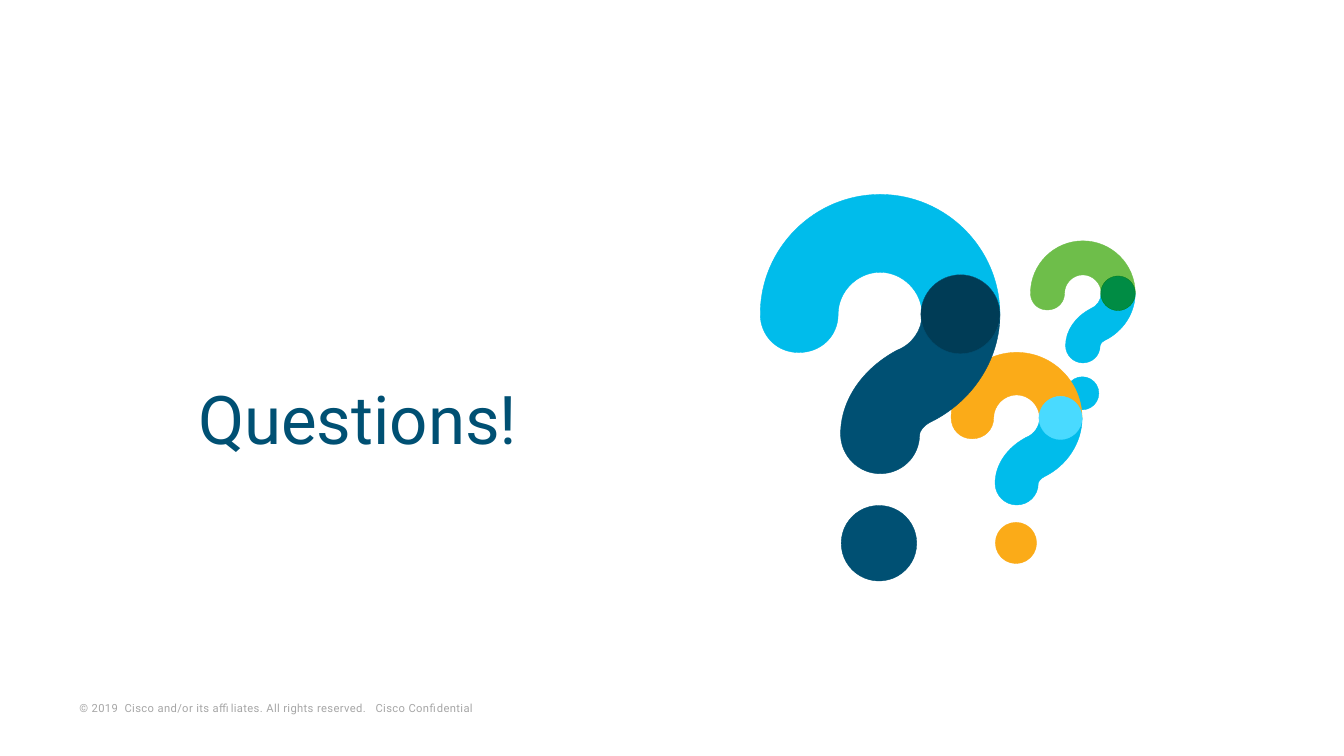
from pptx import Presentation
from pptx.dml.color import RGBColor
from pptx.enum.shapes import MSO_SHAPE
from pptx.enum.text import MSO_ANCHOR, MSO_AUTO_SIZE, PP_ALIGN
from pptx.oxml.ns import qn
from pptx.util import Cm, Pt
from lxml.etree import SubElement

FONT = "Roboto"
NAVY = RGBColor(0x00, 0x50, 0x73)
DARK_NAVY = RGBColor(0x00, 0x3C, 0x56)
CYAN = RGBColor(0x00, 0xBC, 0xEB)
PALE_CYAN = RGBColor(0x49, 0xDA, 0xFF)
ORANGE = RGBColor(0xFB, 0xAB, 0x18)
GREEN = RGBColor(0x6E, 0xBE, 0x4A)
DARK_GREEN = RGBColor(0x00, 0x8C, 0x44)
LINE_GREEN = RGBColor(0x01, 0x7E, 0x18)
GREY = RGBColor(0xA6, 0xA6, 0xA6)

# Outlines of a question mark whose arch has radius 1 around (0, 0):
# a start point, then three points (control, control, end) for each curve.
ARCH = [
    (0, -1),
    (-0.55, -1), (-1, -0.55), (-1, 0),
    (-1, 0.18), (-0.86, 0.32), (-0.68, 0.32),
    (-0.49, 0.32), (-0.35, 0.18), (-0.35, 0),
    (-0.35, -0.19), (-0.19, -0.35), (0, -0.35),
    (0.19, -0.35), (0.35, -0.19), (0.35, 0),
    (0.35, -0.18), (0.49, -0.33), (0.67, -0.33),
    (0.85, -0.33), (1, -0.18), (1, 0),
    (1, -0.55), (0.55, -1), (0, -1),
]
STEM = [
    (1, 0),
    (1, 0.18), (0.85, 0.32), (0.67, 0.32),
    (0.49, 0.32), (0.35, 0.18), (0.35, 0),
    (0.35, 0.13), (0.27, 0.25), (0.14, 0.3),
    (-0.14, 0.45), (-0.33, 0.71), (-0.33, 1),
    (-0.33, 1.18), (-0.18, 1.33), (0, 1.33),
    (0.18, 1.33), (0.33, 1.19), (0.33, 1),
    (0.33, 0.98), (0.36, 0.93), (0.42, 0.9),
    (0.77, 0.73), (1, 0.38), (1, 0),
]
JOINT = [
    (0.67, -0.33),
    (0.49, -0.33), (0.34, -0.18), (0.34, 0),
    (0.34, 0.18), (0.49, 0.33), (0.67, 0.33),
    (0.85, 0.33), (1, 0.18), (1, 0),
    (1, -0.18), (0.85, -0.33), (0.67, -0.33),
]


def paint(shape, fill, line):
    shape.shadow.inherit = False
    shape.fill.solid()
    shape.fill.fore_color.rgb = fill
    shape.line.color.rgb = line
    shape.line.width = Pt(0.25)


def bend_segments(shape):
    """Turn each three straight segments of a freeform into one Bezier curve."""
    outline = shape._element.find(".//" + qn("a:path"))
    segments = outline.findall(qn("a:lnTo"))
    for index, segment in enumerate(segments):
        if index % 3 == 0:
            curve = SubElement(outline, qn("a:cubicBezTo"))
        curve.append(segment[0])
        outline.remove(segment)


def add_outline(shapes, centre, radius, points, fill, line):
    x, y = centre
    start, *others = [(Cm(x + radius * dx), Cm(y + radius * dy))
                      for dx, dy in points]
    builder = shapes.build_freeform(*start)
    builder.add_line_segments(others, close=False)
    shape = builder.convert_to_shape()
    bend_segments(shape)
    paint(shape, fill, line)


def add_dot(shapes, centre, radius, color):
    """Add the dot below a question mark of the given arch radius."""
    x, y = centre
    half = 0.315 * radius
    dot = shapes.add_shape(MSO_SHAPE.OVAL, Cm(x - 0.01 * radius - half),
                           Cm(y + 1.91 * radius - half),
                           Cm(2 * half), Cm(2 * half))
    paint(dot, color, color)


def add_question_mark(slide, centre, radius, arch, dot, stem, joint, joint_line):
    shapes = slide.shapes.add_group_shape().shapes
    add_outline(shapes, centre, radius, ARCH, arch, arch)
    add_dot(shapes, centre, radius, dot)
    add_outline(shapes, centre, radius, STEM, stem, stem)
    add_outline(shapes, centre, radius, JOINT, joint, joint_line)


def add_run(paragraph, text, size, color):
    run = paragraph.add_run()
    run.text = text
    run.font.name = FONT
    run.font.size = Pt(size)
    run.font.color.rgb = color
    return run


def set_title(slide, text):
    title = slide.shapes.title
    title.left, title.top = Cm(1.6), Cm(5)
    title.width, title.height = Cm(14.83), Cm(11.25)
    frame = title.text_frame
    frame.auto_size = MSO_AUTO_SIZE.NONE
    frame.vertical_anchor = MSO_ANCHOR.MIDDLE
    paragraph = frame.paragraphs[0]
    paragraph.alignment = PP_ALIGN.CENTER
    paragraph.line_spacing = 0.95
    paragraph.space_before = Pt(0)
    add_run(paragraph, text, 48, NAVY)


def add_copyright(slide, text):
    box = slide.shapes.add_textbox(Cm(1.77), Cm(17.55), Cm(12.6), Cm(0.58))
    frame = box.text_frame
    frame.word_wrap = True
    frame.vertical_anchor = MSO_ANCHOR.BOTTOM
    frame.margin_left = frame.margin_right = Cm(0.23)
    frame.margin_top = frame.margin_bottom = Cm(0.11)
    run = add_run(frame.paragraphs[0], text, 8, GREY)
    run.font._element.set("spc", "26")


def main():
    presentation = Presentation()
    presentation.slide_width, presentation.slide_height = Cm(33.87), Cm(19.05)
    slide = presentation.slides.add_slide(presentation.slide_layouts[5])
    add_copyright(slide, "© 2019  Cisco and/or its affiliates. "
                         "All rights reserved.   Cisco Confidential")
    set_title(slide, "Questions!")
    add_question_mark(slide, (27.29, 7.39), 1.32,
                      GREEN, CYAN, CYAN, DARK_GREEN, LINE_GREEN)
    add_question_mark(slide, (25.62, 10.53), 1.65,
                      ORANGE, ORANGE, CYAN, PALE_CYAN, PALE_CYAN)
    add_question_mark(slide, (22.18, 7.92), 3.02,
                      CYAN, NAVY, NAVY, DARK_NAVY, NAVY)
    presentation.save("out.pptx")


if __name__ == "__main__":
    main()
